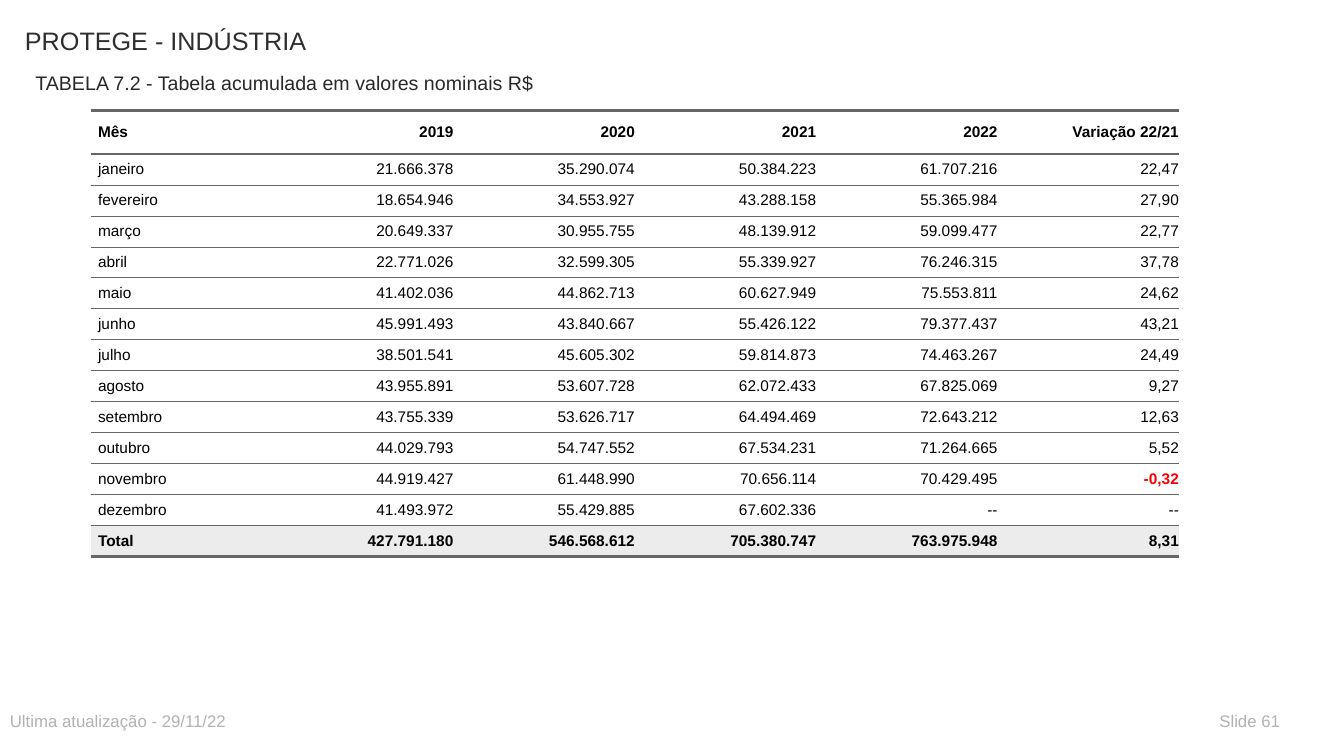
from lxml import etree
from pptx import Presentation
from pptx.dml.color import RGBColor
from pptx.enum.text import MSO_ANCHOR, PP_ALIGN
from pptx.oxml.ns import qn
from pptx.util import Cm, Pt

LEFT, RIGHT = PP_ALIGN.LEFT, PP_ALIGN.RIGHT
TOP, MIDDLE = MSO_ANCHOR.TOP, MSO_ANCHOR.MIDDLE
FONT = "Arial"
COLORS = {
    "title": "2D2E2D", "subtitle": "292929", "footer": "B2B2B2",
    "text": "000000", "negative": "FF0000", "rule": "666666",
    "cell": "FFFFFF", "total": "ECECEC",
}


def style_font(para, size, color, bold=False):
    para.font.name = FONT
    para.font.size = Pt(size)
    para.font.bold = bold
    para.font.color.rgb = RGBColor.from_string(COLORS[color])


def add_rule(cell, tag, position, weight):
    properties = cell._tc.get_or_add_tcPr()
    line = etree.Element(qn(tag), w=str(Pt(weight)))
    fill = etree.SubElement(line, qn("a:solidFill"))
    etree.SubElement(fill, qn("a:srgbClr"), val=COLORS["rule"])
    properties.insert(position, line)


deck = Presentation()
deck.slide_width, deck.slide_height = Cm(33.87), Cm(19.05)
page = deck.slides.add_slide(deck.slide_layouts[6])

# Title, subtitle and footer: text, left, top, width, height, size, color
labels = [
    ("PROTEGE - INDÚSTRIA", 0.38, 0.51, 20.32, 1.5, 18, "title"),
    ("TABELA 7.2 - Tabela acumulada em valores nominais R$",
     0.64, 1.65, 16.51, 0.76, 14, "subtitle"),
    ("Ultima atualização - 29/11/22", 0, 17.78, 16.51, 0.76, 12, "footer"),
    ("Slide 61", 30.48, 17.78, 2.29, 0.76, 12, "footer"),
]
for text, left, top, width, height, size, color in labels:
    box = page.shapes.add_textbox(Cm(left), Cm(top), Cm(width), Cm(height))
    box.text_frame.word_wrap = True
    box.text_frame.vertical_anchor = TOP
    para = box.text_frame.paragraphs[0]
    para.text = text
    style_font(para, size, color)

# Table content
rows = [
    ("Mês", "2019", "2020", "2021", "2022", "Variação 22/21"),
    ("janeiro", "21.666.378", "35.290.074", "50.384.223", "61.707.216", "22,47"),
    ("fevereiro", "18.654.946", "34.553.927", "43.288.158", "55.365.984", "27,90"),
    ("março", "20.649.337", "30.955.755", "48.139.912", "59.099.477", "22,77"),
    ("abril", "22.771.026", "32.599.305", "55.339.927", "76.246.315", "37,78"),
    ("maio", "41.402.036", "44.862.713", "60.627.949", "75.553.811", "24,62"),
    ("junho", "45.991.493", "43.840.667", "55.426.122", "79.377.437", "43,21"),
    ("julho", "38.501.541", "45.605.302", "59.814.873", "74.463.267", "24,49"),
    ("agosto", "43.955.891", "53.607.728", "62.072.433", "67.825.069", "9,27"),
    ("setembro", "43.755.339", "53.626.717", "64.494.469", "72.643.212", "12,63"),
    ("outubro", "44.029.793", "54.747.552", "67.534.231", "71.264.665", "5,52"),
    ("novembro", "44.919.427", "61.448.990", "70.656.114", "70.429.495", "-0,32"),
    ("dezembro", "41.493.972", "55.429.885", "67.602.336", "--", "--"),
    ("Total", "427.791.180", "546.568.612", "705.380.747", "763.975.948", "8,31"),
]
last = len(rows) - 1
row_heights = [1.09] + [0.78] * last
rule_weights = [2, 2] + [0.5] * (last - 1) + [2]

# Table frame without a banded style
frame = page.shapes.add_table(len(rows), len(rows[0]), Cm(2.29), Cm(2.79),
                              Cm(27.42), Cm(sum(row_heights)))
table = frame.table
table.first_row = table.horz_banding = False
style = table._tbl.tblPr.find(qn("a:tableStyleId"))
style.text = "{2D5ABB26-0587-4C30-8999-92F81FD0307C}"
for column in table.columns:
    column.width = Cm(4.57)

# Cells
for r, values in enumerate(rows):
    table.rows[r].height = Cm(row_heights[r])
    for c, value in enumerate(values):
        cell = table.cell(r, c)
        cell.vertical_anchor = MIDDLE
        cell.margin_left = Cm(0.18 if c == 0 else 0)
        cell.margin_right = 0
        cell.margin_top = cell.margin_bottom = Cm(0.15)
        cell.fill.solid()
        background = COLORS["total" if r == last else "cell"]
        cell.fill.fore_color.rgb = RGBColor.from_string(background)
        add_rule(cell, "a:lnT", 0, rule_weights[r])
        add_rule(cell, "a:lnB", 1, rule_weights[r + 1])

        para = cell.text_frame.paragraphs[0]
        para.text = value
        para.alignment = LEFT if c == 0 else RIGHT
        negative = value.startswith("-") and value != "--"
        style_font(para, 11, "negative" if negative else "text",
                   bold=negative or r in (0, last))

deck.save("out.pptx")
